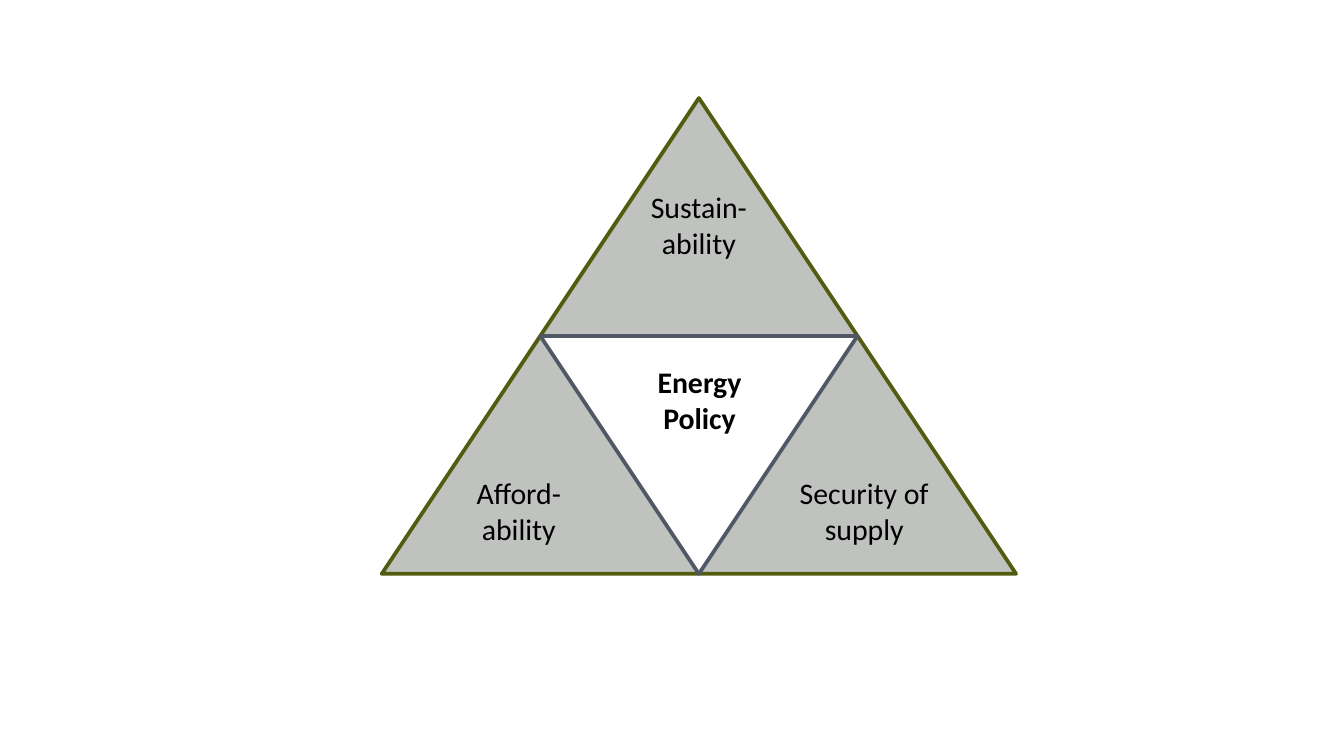
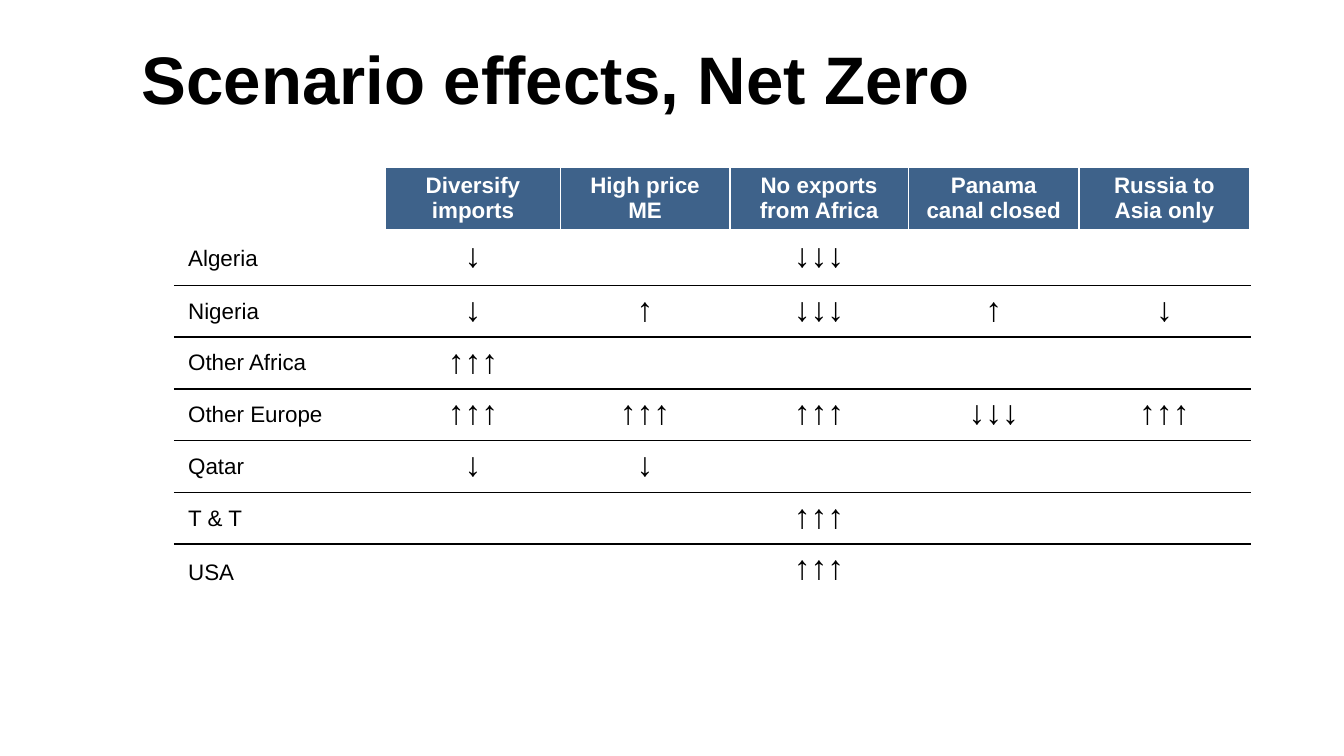
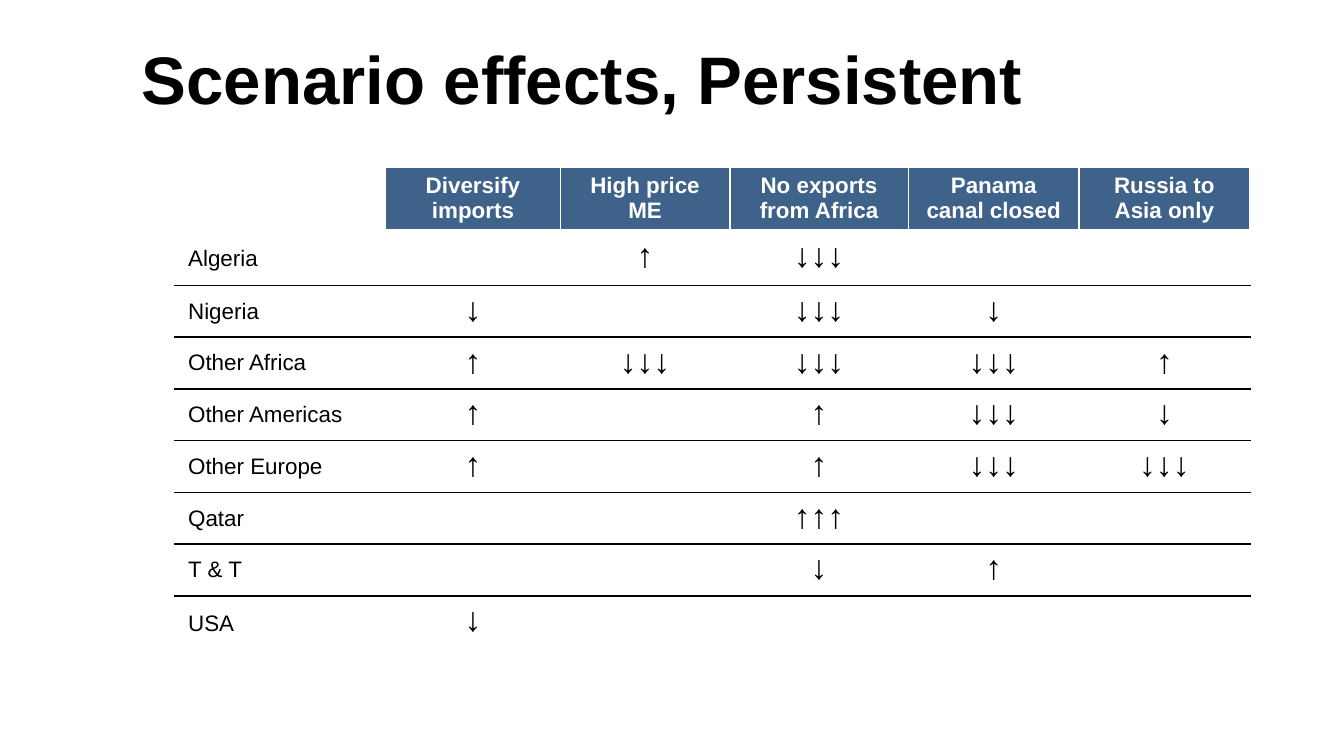
from lxml import etree
from pptx import Presentation
from pptx import util as u
from pptx.dml.color import RGBColor
from pptx.enum import shapes, text
from pptx.oxml.ns import qn

# Shared scale, colours and fonts
PX = 4572  # 200 px to the inch
BLACK, WHITE, BLUE = "000000", "FFFFFF", "3E628A"
GREY, OLIVE, SLATE = "C0C2C0", "525B10", "505866"
BODY, LABEL = "Arial", "Calibri"
CENTER, LEFT = text.PP_ALIGN.CENTER, text.PP_ALIGN.LEFT
TOP, MIDDLE = text.MSO_ANCHOR.TOP, text.MSO_ANCHOR.MIDDLE

# Scenario tables
COL_WIDTHS = [314, 260, 252, 266, 254, 254]
HEADINGS = ["", "Diversify imports", "High price ME", "No exports from Africa",
            "Panama canal closed", "Russia to Asia only"]
NET_ZERO = [
    ["Algeria", "↓", "", "↓↓↓", "", ""],
    ["Nigeria", "↓", "↑", "↓↓↓", "↑", "↓"],
    ["Other Africa", "↑↑↑", "", "", "", ""],
    ["Other Europe", "↑↑↑", "↑↑↑", "↑↑↑", "↓↓↓", "↑↑↑"],
    ["Qatar", "↓", "↓", "", "", ""],
    ["T & T", "", "", "↑↑↑", "", ""],
    ["USA", "", "", "↑↑↑", "", ""],
]
PERSISTENT = [
    ["Algeria", "", "↑", "↓↓↓", "", ""],
    ["Nigeria", "↓", "", "↓↓↓", "↓", ""],
    ["Other Africa", "↑", "↓↓↓", "↓↓↓", "↓↓↓", "↑"],
    ["Other Americas", "↑", "", "↑", "↓↓↓", "↓"],
    ["Other Europe", "↑", "", "↑", "↓↓↓", "↓↓↓"],
    ["Qatar", "", "", "↑↑↑", "", ""],
    ["T & T", "", "", "↓", "↑", ""],
    ["USA", "↓", "", "", "", ""],
]


def px(*values):
    return [u.Emu(v * PX) for v in values]


def rgb(value):
    return RGBColor.from_string(value)


def write(tf, words, size, font, color=BLACK, bold=False, align=LEFT):
    tf.text = words
    p = tf.paragraphs[0]
    p.alignment = align
    for r in p.runs:
        r.font.size, r.font.name, r.font.bold = u.Pt(size), font, bold
        r.font.color.rgb = rgb(color)
    if not words:  # an empty cell keeps its line height
        end = p._p.get_or_add_endParaRPr()
        end.set("sz", str(size * 100))
        etree.SubElement(end, qn("a:latin"), typeface=font)


def add_text(parent, box, words, size, font, anchor=TOP, **style):
    tf = parent.add_textbox(*px(*box)).text_frame
    tf.word_wrap = True
    tf.vertical_anchor = anchor
    write(tf, words, size, font, **style)


def add_triangle(parent, box, fill, line, rotation=0):
    sp = parent.add_shape(shapes.MSO_SHAPE.ISOSCELES_TRIANGLE, *px(*box))
    sp.shadow.inherit = False
    sp.rotation = rotation
    sp.fill.solid()
    sp.fill.fore_color.rgb = rgb(fill)
    sp.line.color.rgb = rgb(line)
    sp.line.width = u.Pt(2)


def set_borders(cell, top, bottom, bottom_width):
    edges = [("L", WHITE, 1), ("R", WHITE, 1), ("T", top, 1),
             ("B", bottom, bottom_width)]
    for side, color, width in edges:
        ln = etree.SubElement(cell._tc.get_or_add_tcPr(), qn("a:ln" + side),
                              w=str(u.Pt(width)))
        fill = etree.SubElement(ln, qn("a:solidFill"))
        etree.SubElement(fill, qn("a:srgbClr"), val=color)


def fill_cell(cell, words, row, col, last):
    header = row == 0
    set_borders(cell, top=WHITE if row < 2 else BLACK,
                bottom=WHITE if row in (0, last) else BLACK,
                bottom_width=3 if header else 1)
    if header and words:
        cell.fill.solid()
        cell.fill.fore_color.rgb = rgb(BLUE)
    else:
        cell.fill.background()
    row_label = col == 0 and not header
    cell.margin_top, cell.margin_bottom = px(8, 8)
    cell.vertical_anchor = MIDDLE if row_label else TOP
    write(cell.text_frame, words, 12 if header or row_label else 18, BODY,
          color=WHITE if header else BLACK, bold=not row_label,
          align=LEFT if row_label else CENTER)


def add_scenario_table(slide, rows):
    rows = [HEADINGS] + rows
    last = len(rows) - 1
    heights = [91, 80] + [77] * (last - 2) + [84]
    table = slide.shapes.add_table(len(rows), len(HEADINGS),
                                   *px(260, 249, sum(COL_WIDTHS), sum(heights))).table
    table.first_row = table.horz_banding = False
    for column, width in zip(table.columns, px(*COL_WIDTHS)):
        column.width = width
    for row, height in zip(table.rows, px(*heights)):
        row.height = height
    for i, row in enumerate(rows):
        for j, words in enumerate(row):
            fill_cell(table.cell(i, j), words, i, j, last)


def add_policy_triangle(slide):
    group = slide.shapes.add_group_shape().shapes
    left, top, width, height = 568, 146, 944, 708
    add_triangle(group, (left, top, width, height), GREY, OLIVE)
    add_triangle(group, (left + width // 4, top + height // 2,
                         width // 2, height // 2), WHITE, SLATE, 180)
    labels = [("Energy Policy", 932, 548, 218, True),
              ("Security of supply", 1164, 713, 244, False),
              ("Sustain-ability", 918, 287, 244, False),
              ("Afford-ability", 650, 713, 244, False)]
    for words, x, y, w, bold in labels:
        add_text(group, (x, y, w, 94), words, 16, LABEL, anchor=MIDDLE,
                 bold=bold, align=CENTER)


def main():
    prs = Presentation()
    prs.slide_width, prs.slide_height = px(2000, 1125)
    blank = prs.slide_layouts[6]

    # Energy policy triangle
    add_policy_triangle(prs.slides.add_slide(blank))

    # Scenario effects
    for name, rows in [("Net Zero", NET_ZERO), ("Persistent", PERSISTENT)]:
        slide = prs.slides.add_slide(blank)
        add_text(slide.shapes, (191, 46, 1724, 142), f"Scenario effects, {name}",
                 36, BODY, bold=True)
        add_scenario_table(slide, rows)

    prs.save("out.pptx")


if __name__ == "__main__":
    main()
